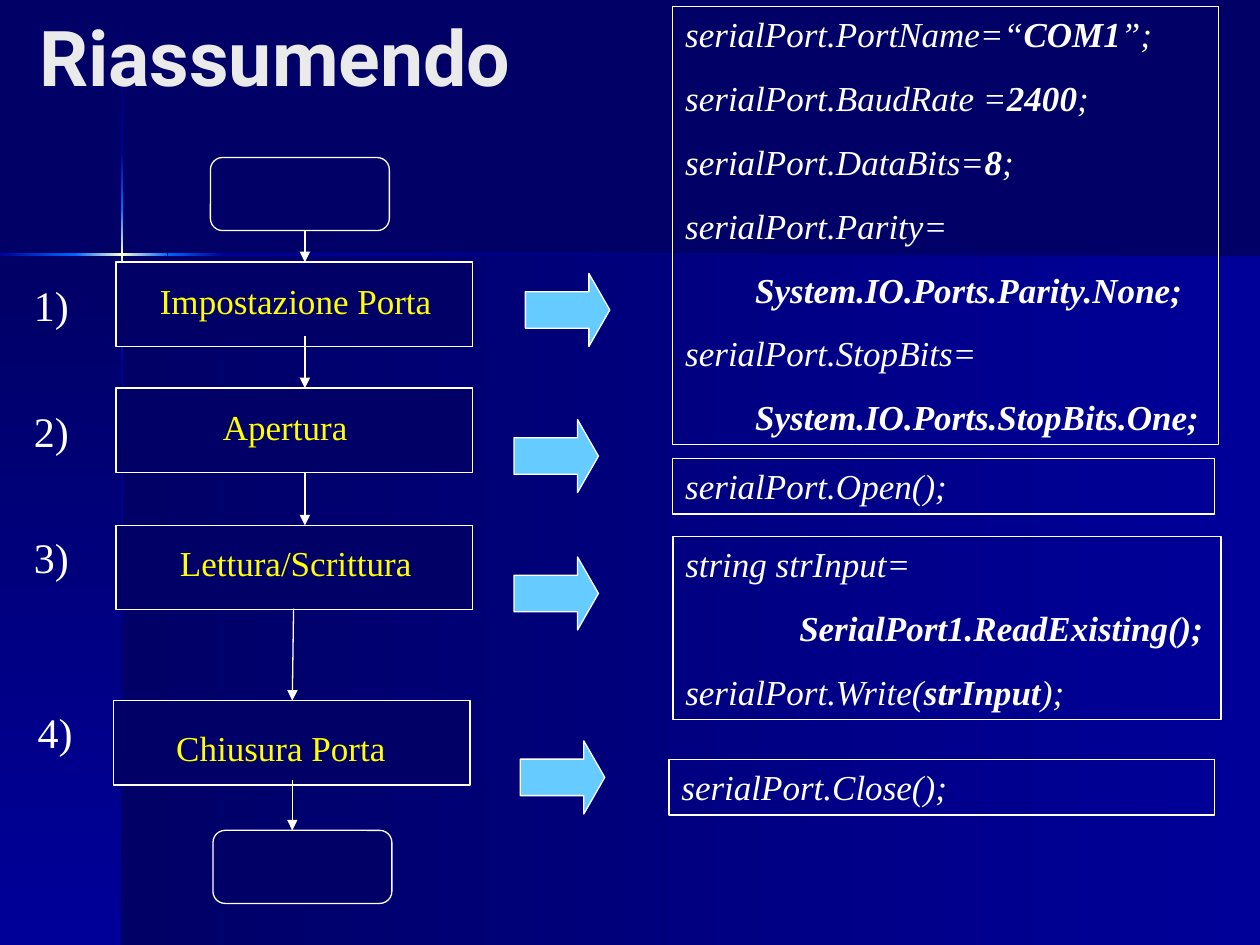
from dataclasses import dataclass

import pptx
import pptx.dml.color
import pptx.enum.shapes
import pptx.enum.text
import pptx.oxml
import pptx.oxml.ns
import pptx.util
from pptx.util import Inches

SHAPE = pptx.enum.shapes.MSO_SHAPE
ANCHOR = pptx.enum.text.MSO_ANCHOR
AUTO_SIZE = pptx.enum.text.MSO_AUTO_SIZE


@dataclass(frozen=True)
class Theme:
    night: str = "000066"
    navy: str = "000099"
    azure: str = "0066FF"
    gleam: str = "FFFFCC"
    arrow: str = "66CCFF"
    white: str = "FFFFFF"
    label: str = "FFFF00"
    title: str = "EAEAEA"
    title_font: str = "Roboto"
    body_font: str = "Times New Roman"
    title_size: int = 44
    body_size: int = 20
    number_size: int = 24
    line_width: float = 0.75


THEME = Theme()


@dataclass(frozen=True)
class Box:
    left: float
    top: float
    width: float
    height: float

    def inner(self, x, y, width, height):
        """Box whose corner is offset from this one's corner."""
        return Box(self.left + x, self.top + y, width, height)

    def lengths(self):
        return [Inches(n) for n in (self.left, self.top, self.width, self.height)]


def rgb(color):
    return pptx.dml.color.RGBColor.from_string(color)


def set_all(target, values):
    for name, value in values.items():
        setattr(target, name, value)


def set_font(font, color, size, name=THEME.body_font, **styles):
    set_all(font, {"name": name, "size": pptx.util.Pt(size), **styles})
    font.color.rgb = rgb(color)


def add_outlined(slide, kind, box, fill=None):
    shape = slide.shapes.add_shape(kind, *box.lengths())
    shape.shadow.inherit = False
    if fill:
        shape.fill.solid()
        shape.fill.fore_color.rgb = rgb(fill)
    else:
        shape.fill.background()
    shape.line.color.rgb = rgb(THEME.white)
    shape.line.width = pptx.util.Pt(THEME.line_width)
    return shape


def add_gradient(slide, box, colors, angle):
    """Rectangle with evenly spaced stops; the angle runs clockwise."""
    bar = slide.shapes.add_shape(SHAPE.RECTANGLE, *box.lengths())
    bar.shadow.inherit = False
    bar.line.fill.background()
    bar.fill.background()
    step = 100000 // (len(colors) - 1)
    stops = "".join(
        f'<a:gs pos="{i * step}"><a:srgbClr val="{color}"/></a:gs>'
        for i, color in enumerate(colors))
    gradient = pptx.oxml.parse_xml(
        f'<a:gradFill {pptx.oxml.ns.nsdecls("a")}><a:gsLst>{stops}</a:gsLst>'
        f'<a:lin ang="{angle * 60000}" scaled="0"/></a:gradFill>')
    properties = bar._element.spPr
    no_fill = properties.find(pptx.oxml.ns.qn("a:noFill"))
    properties.replace(no_fill, gradient)


def add_text(slide, box, text, color, size):
    frame = slide.shapes.add_textbox(*box.lengths()).text_frame
    set_all(frame, {"word_wrap": True, "auto_size": AUTO_SIZE.SHAPE_TO_FIT_TEXT})
    paragraph = frame.paragraphs[0]
    paragraph.text = text
    set_font(paragraph.font, color, size)


def add_arrow_line(slide, start, end):
    line = slide.shapes.add_connector(
        pptx.enum.shapes.MSO_CONNECTOR.STRAIGHT, *map(Inches, start + end))
    line.line.color.rgb = rgb(THEME.white)
    line.line.width = pptx.util.Pt(THEME.line_width)
    namespace = pptx.oxml.ns.nsdecls("a")
    line.line._get_or_add_ln().append(
        pptx.oxml.parse_xml(f'<a:tailEnd {namespace} type="triangle"/>'))
    line._element.spPr.append(pptx.oxml.parse_xml(f"<a:effectLst {namespace}/>"))


def draw_backdrop(slide, page):
    """Two lower panels and a cross of light where they meet."""
    slide.background.fill.solid()
    slide.background.fill.fore_color.rgb = rgb(THEME.night)
    night, navy, azure, gleam = THEME.night, THEME.navy, THEME.azure, THEME.gleam
    x, y, thick = 0.97, 2.02, 0.02
    below = page.height - y
    add_gradient(slide, page.inner(x, y, page.width - x, below), (night, navy), 0)
    add_gradient(slide, page.inner(0, y, x, below), (night, navy), 90)

    vertical = [(0.01, 1.21, (night, navy)), (2.82, 7.5, (navy, night)),
                (2.38, 2.82, (azure, navy)), (1.21, 1.65, (navy, azure)),
                (1.65, 2.38, (azure, gleam, azure))]
    for start, end, colors in vertical:
        add_gradient(slide, page.inner(x - thick / 2, start, thick, end - start),
                     colors, 90)
    horizontal = [(1.77, 10, (navy, night)), (0, 0.6, (navy, azure)),
                  (1.33, 1.77, (azure, navy)), (0.6, 1.33, (azure, gleam, azure))]
    for start, end, colors in horizontal:
        add_gradient(slide, page.inner(start, y - thick / 2, end - start, thick),
                     colors, 0)


def place_title(slide, box, text):
    title = slide.shapes.title
    slide.shapes._spTree.append(title._element)  # in front of the backdrop
    set_all(title, dict(zip(("left", "top", "width", "height"), box.lengths())))
    set_all(title.text_frame, {"text": text, "vertical_anchor": ANCHOR.MIDDLE,
                               "word_wrap": True, "auto_size": AUTO_SIZE.NONE})
    paragraph = title.text_frame.paragraphs[0]
    paragraph.alignment = pptx.enum.text.PP_ALIGN.LEFT
    set_font(paragraph.font, THEME.title, THEME.title_size, THEME.title_font, bold=True)


def draw_step(slide, box, number, name, number_at, name_at, name_width, arrow_at):
    add_outlined(slide, SHAPE.RECTANGLE, box, THEME.night)
    add_text(slide, box.inner(*name_at, name_width, 0.44), name,
             THEME.label, THEME.body_size)
    add_text(slide, box.inner(*number_at, 0.5, 0.5), f"{number})",
             THEME.white, THEME.number_size)
    arrow = add_outlined(slide, SHAPE.RIGHT_ARROW,
                         box.inner(*arrow_at, 0.67, 0.58), THEME.arrow)
    arrow.adjustments[1] = 0.286


def draw_flowchart(slide, box):
    steps = [
        ((0.75, 0.83), "Impostazione Porta", (-0.75, 0.09), (0.25, 0.09), 2.58, (3.25, 0.09)),
        ((0.75, 1.83), "Apertura", (-0.75, 0.09), (0.75, 0.09), 1.25, (3.16, 0.25)),
        ((0.75, 2.92), "Lettura/Scrittura", (-0.75, 0), (0.41, 0.08), 2.08, (3.16, 0.25)),
        ((0.73, 4.31), "Chiusura Porta", (-0.7, 0), (0.4, 0.16), 2.08, (3.23, 0.32)),
    ]
    for number, (corner, *parts) in enumerate(steps, 1):
        draw_step(slide, box.inner(*corner, 2.83, 0.67), number, *parts)
    for corner in ((1.5, 0), (1.52, 5.34)):
        add_outlined(slide, SHAPE.ROUNDED_RECTANGLE,
                     box.inner(*corner, 1.42, 0.58), THEME.night)
    links = [(2.25, 0.58, 2.25, 0.83), (2.25, 1.42, 2.25, 1.83), (2.25, 2.5, 2.25, 2.92),
             (2.16, 3.58, 2.15, 4.31), (2.15, 4.94, 2.15, 5.34)]
    for x1, y1, x2, y2 in links:
        add_arrow_line(slide, (box.left + x1, box.top + y1), (box.left + x2, box.top + y2))


def draw_code(slide, box, lines):
    """Framed code; text between bars is bold."""
    frame = add_outlined(slide, SHAPE.RECTANGLE, box).text_frame
    set_all(frame, {"word_wrap": True, "vertical_anchor": ANCHOR.TOP,
                    "auto_size": AUTO_SIZE.SHAPE_TO_FIT_TEXT})
    for index, line in enumerate(lines):
        paragraph = frame.add_paragraph() if index else frame.paragraphs[0]
        paragraph.alignment = pptx.enum.text.PP_ALIGN.LEFT
        if index:
            paragraph.space_before = pptx.util.Pt(12.5)
        for part, text in enumerate(line.split("|")):
            if text:
                run = paragraph.add_run()
                run.text = text
                set_font(run.font, THEME.white, THEME.body_size,
                         italic=True, bold=part % 2 == 1)


def main():
    deck = pptx.Presentation()
    set_all(deck, {"slide_width": Inches(10), "slide_height": Inches(7.5)})
    slide = deck.slides.add_slide(deck.slide_layouts[5])
    draw_backdrop(slide, Box(0, 0, 10, 7.5))
    place_title(slide, Box(0.21, 0.03, 4.49, 0.83), "Riassumendo")
    draw_flowchart(slide, Box(0.17, 1.25, 4.67, 5.92))
    draw_code(slide, Box(5.34, 0.05, 4.33, 3.48), [
        "serialPort.PortName=“|COM1|”;", "serialPort.BaudRate =|2400|;",
        "serialPort.DataBits=|8|;", "serialPort.Parity=",
        "|        System.IO.Ports.Parity.None;", "serialPort.StopBits=",
        "|        System.IO.Ports.StopBits.One;"])
    draw_code(slide, Box(5.34, 3.64, 4.3, 0.44), ["serialPort.Open();"])
    draw_code(slide, Box(5.34, 4.26, 4.35, 1.45), [
        "string strInput=", "             |SerialPort1.ReadExisting();",
        "serialPort.Write(|strInput|);"])
    draw_code(slide, Box(5.31, 6.03, 4.33, 0.44), ["serialPort.Close();"])
    deck.save("out.pptx")


if __name__ == "__main__":
    main()
